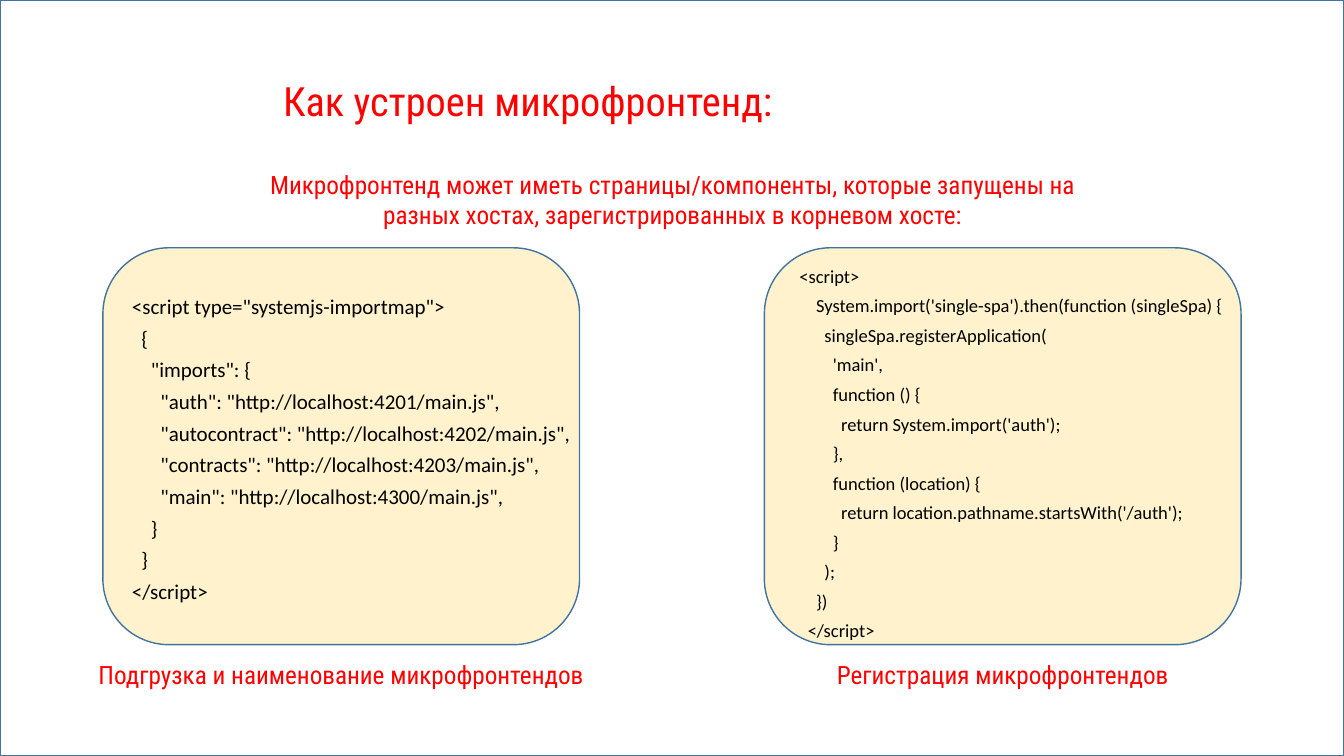
from dataclasses import dataclass

from pptx import Presentation
from pptx.dml.color import RGBColor
from pptx.enum.shapes import MSO_SHAPE
from pptx.enum.text import MSO_ANCHOR, MSO_AUTO_SIZE, PP_ALIGN
from pptx.util import Pt

RECTANGLE, ROUNDED = MSO_SHAPE.RECTANGLE, MSO_SHAPE.ROUNDED_RECTANGLE
TOP, BOTTOM = MSO_ANCHOR.TOP, MSO_ANCHOR.BOTTOM
LEFT, CENTER = PP_ALIGN.LEFT, PP_ALIGN.CENTER
FIXED_SIZE = MSO_AUTO_SIZE.NONE


@dataclass(frozen=True)
class Theme:
    paper: str = "FFFFFF"
    panel: str = "FFF2CC"
    outline: str = "43739E"
    accent: str = "FF0000"
    ink: str = "000000"
    heading_font: str = "Roboto Condensed"
    code_font: str = "Calibri"
    title_size: float = 28.8
    caption_size: float = 18
    import_map_size: float = 15
    registration_size: float = 13.2
    space_width: float = 0.226  # width of a space in the code font, in ems


# Content
IMPORT_MAP = """\
    <script type="systemjs-importmap">
      {
        "imports": {
          "auth": "http://localhost:4201/main.js",
          "autocontract": "http://localhost:4202/main.js",
          "contracts": "http://localhost:4203/main.js",
          "main": "http://localhost:4300/main.js",
        }
      }
    </script>"""

REGISTRATION = """\
  <script>
      System.import('single-spa').then(function (singleSpa) {
        singleSpa.registerApplication(
          'main',
          function () {
            return System.import('auth');
          },
          function (location) {
            return location.pathname.startsWith('/auth');
          }
        );
      })
    </script>"""


class SlideBuilder:
    def __init__(self, slide, theme):
        self.slide = slide
        self.theme = theme

    def box(self, preset, fill, *place):
        shape = self.slide.shapes.add_shape(preset, *map(Pt, place))
        shape.shadow.inherit = False
        shape.fill.solid()
        shape.fill.fore_color.rgb = RGBColor.from_string(fill)
        shape.line.color.rgb = RGBColor.from_string(self.theme.outline)
        shape.line.width = Pt(1)

    def text_box(self, *place):
        return self.slide.shapes.add_textbox(*map(Pt, place))

    def placeholder(self, index, *place):
        """Move a template placeholder into place, in front of the shapes so far."""
        holder = self.slide.placeholders[index]
        holder.left, holder.top, holder.width, holder.height = map(Pt, place)
        self.slide.shapes._spTree.append(holder._element)
        return holder

    def frame(self, holder, anchor):
        frame = holder.text_frame
        frame.word_wrap = True
        frame.auto_size = FIXED_SIZE
        frame.vertical_anchor = anchor
        return frame

    def style(self, paragraph, font_name, size, color, align):
        paragraph.alignment = align
        for run in paragraph.runs:
            run.font.name = font_name
            run.font.size = Pt(size)
            run.font.color.rgb = RGBColor.from_string(color)

    def heading(self, holder, text, size, align=CENTER, anchor=TOP, spacing=1.0):
        frame = self.frame(holder, anchor)
        frame.text = text
        paragraph = frame.paragraphs[0]
        paragraph.line_spacing = spacing
        self.style(paragraph, self.theme.heading_font, size, self.theme.accent, align)

    def code(self, holder, source, size):
        """Write one paragraph per line, turning leading spaces into indents."""
        frame = self.frame(holder, TOP)
        frame.text = source
        for paragraph in frame.paragraphs:
            line = paragraph.text
            depth = len(line) - len(line.lstrip())
            paragraph.text = line.lstrip()
            paragraph.line_spacing = 0.7
            paragraph.space_before = Pt(10)
            properties = paragraph._p.get_or_add_pPr()
            properties.set("marL", str(Pt(depth * size * self.theme.space_width)))
            properties.set("indent", "0")
            self.style(paragraph, self.theme.code_font, size, self.theme.ink, LEFT)


def main():
    slide_width, slide_height = 960, 540
    margin, panel_top, panel_width, panel_height = 73.5, 177, 340.5, 283.5

    presentation = Presentation()
    presentation.slide_width = Pt(slide_width)
    presentation.slide_height = Pt(slide_height)
    theme = Theme()
    builder = SlideBuilder(
        presentation.slides.add_slide(presentation.slide_layouts[0]), theme)

    # Background frame and title
    builder.box(RECTANGLE, theme.paper, 0, 0, slide_width, slide_height)
    title = builder.placeholder(0, 195, 52.5, 644.5, 40.5)
    builder.heading(title, "Как устроен микрофронтенд:", theme.title_size,
                    LEFT, BOTTOM, 0.9)

    # Introduction
    introduction = builder.text_box(166.5, 117.5, 628, 72.5)
    builder.heading(
        introduction,
        "Микрофронтенд может иметь страницы/компоненты, которые запущены на "
        "разных хостах, зарегистрированных в корневом хосте:",
        theme.caption_size)

    # Panels with their captions
    captions = (
        (margin, 385, "Подгрузка и наименование микрофронтендов"),
        (slide_width - margin - panel_width, 296, "Регистрация микрофронтендов"),
    )
    for panel_left, caption_width, words in captions:
        builder.box(ROUNDED, theme.panel,
                    panel_left, panel_top, panel_width, panel_height)
        caption_left = panel_left + (panel_width - caption_width) / 2
        caption = builder.text_box(caption_left, 467.5, caption_width, 51)
        builder.heading(caption, words, theme.caption_size)

    # Code listings
    import_map = builder.placeholder(1, margin, 211, 355.5, 250)
    builder.code(import_map, IMPORT_MAP, theme.import_map_size)
    registration = builder.text_box(558, 190, 374.5, 286.5)
    builder.code(registration, REGISTRATION, theme.registration_size)

    presentation.save("out.pptx")


if __name__ == "__main__":
    main()
